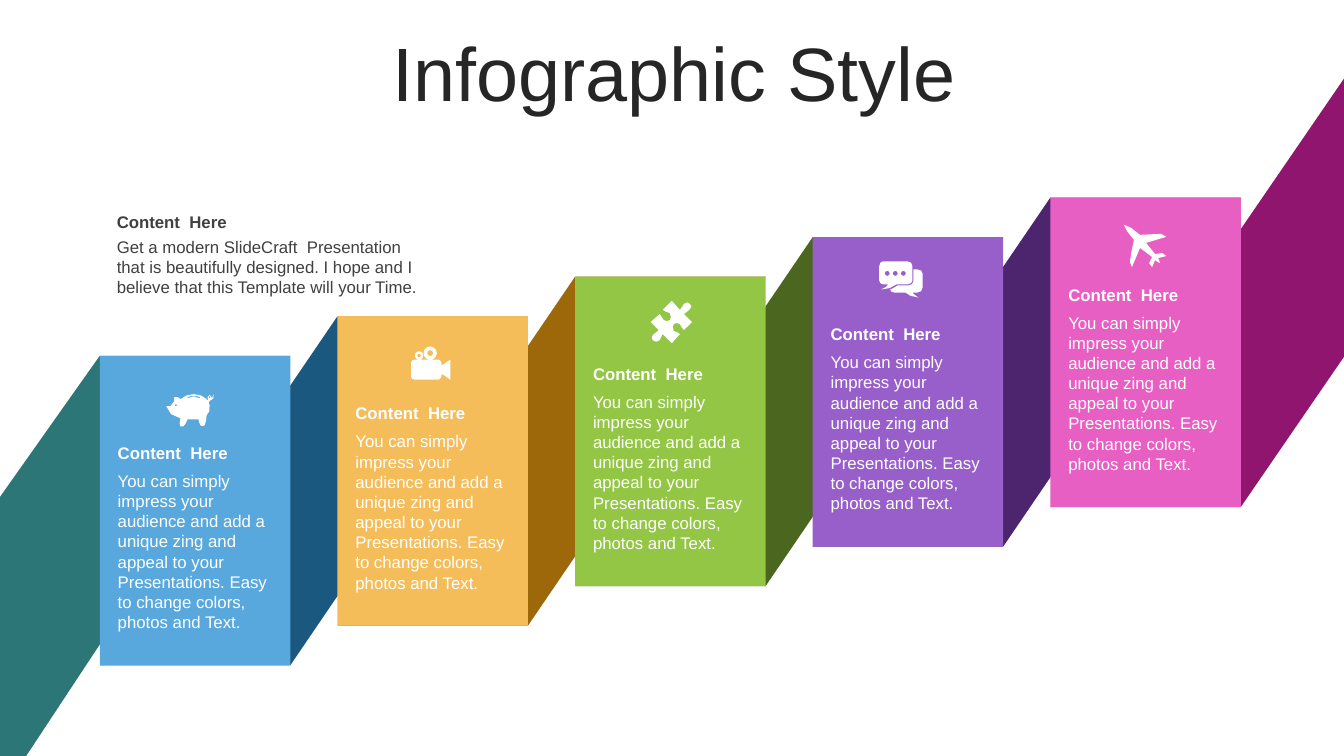
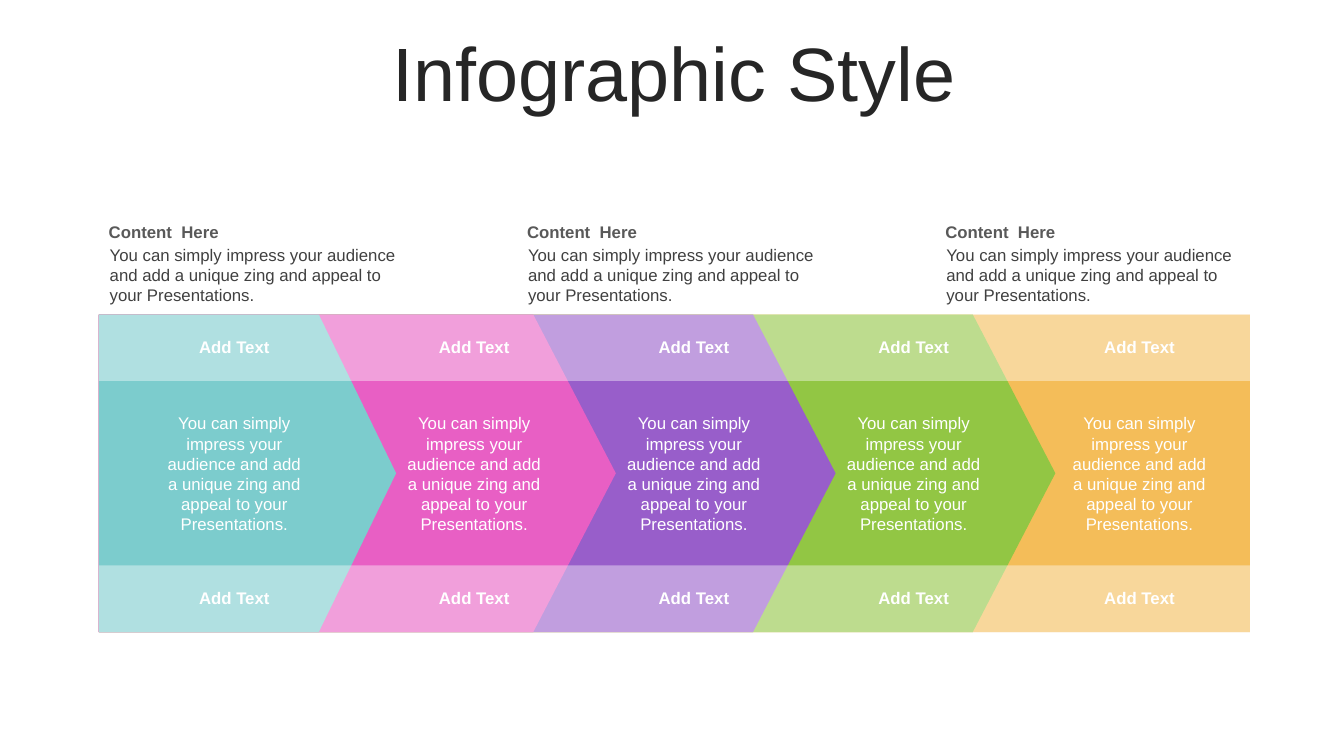
import math
from dataclasses import dataclass

import pptx
import pptx.dml.color
import pptx.enum.shapes
import pptx.enum.text
import pptx.oxml.ns
import pptx.util
from lxml import etree

RGB = pptx.dml.color.RGBColor
SHAPE = pptx.enum.shapes.MSO_SHAPE
ALIGN = pptx.enum.text.PP_ALIGN
ANCHOR = pptx.enum.text.MSO_ANCHOR
Inches = pptx.util.Inches

# Shared look
SLIDE_W, SLIDE_H = 40 / 3, 7.5
FONT = "Arial"
BODY_PT, TITLE_PT = 12, 54
WHITE = RGB(0xFF, 0xFF, 0xFF)
TITLE_INK = RGB(0x26, 0x26, 0x26)
INK = RGB(0x40, 0x40, 0x40)
HEADING_INK = RGB(0x59, 0x59, 0x59)
BLUE, DARK_BLUE = RGB(0x58, 0xA8, 0xDD), RGB(0x1A, 0x58, 0x80)
ORANGE, DARK_ORANGE = RGB(0xF4, 0xBD, 0x59), RGB(0x9C, 0x68, 0x0A)
GREEN, DARK_GREEN = RGB(0x92, 0xC6, 0x44), RGB(0x4A, 0x66, 0x1F)
PURPLE, DARK_PURPLE = RGB(0x98, 0x5E, 0xCA), RGB(0x4D, 0x25, 0x6F)
PINK, DARK_PINK = RGB(0xE8, 0x5F, 0xC4), RGB(0x8F, 0x15, 0x6F)
TEAL, DARK_TEAL = RGB(0x7C, 0xCC, 0xCD), RGB(0x2D, 0x76, 0x77)

HEADING = "Content  Here"
PITCH = "You can simply impress your audience and add a unique zing and appeal to your Presentations."

# Staircase of cards: four equal steps from the first card to the last
CARD_LEFT, CARD_TOP = 0.99, 3.53
CARD_W, CARD_H = 1.89, 3.07
STEP_X, STEP_Y = (10.42 - CARD_LEFT) / 4, (CARD_TOP - 1.96) / 4

# Arrow band
BAND_LEFT, BAND_TOP, BAND_W, BAND_H = 0.98, 3.12, 11.42, 3.15
STRIP_H = 0.66
ARROW_W, ARROW_STEP = 2.95, 2.18
NOTE_STEP = 4.15

# A contour is a start point, then line ends (2 numbers) or cubic curves (6 numbers)
Contour = list[tuple[float, ...]]


def circle(cx: float, cy: float, radius: float) -> Contour:
    sides = 12 if radius > 3 else 8
    turns = [math.tau * i / sides for i in range(sides)]
    return [(cx + radius * math.cos(a), cy + radius * math.sin(a)) for a in turns]


# Icon outlines, in hundredths of an inch
PIG: list[Contour] = [
    [(27, 0), (32, 0, 38, 2, 40, 5), (41, 6), (42, 6), (41, 5, 41, 4, 41, 3),
     (41, 2, 42, 1, 43, 1), (44, 0, 45, 2, 45, 3), (45, 4), (45, 4, 46, 4, 47, 0),
     (48, 4, 46, 6, 44, 6), (43, 7, 43, 7, 42, 8), (43, 11), (44, 15, 42, 20, 40, 21),
     (40, 26, 39, 28, 38, 31), (38, 32, 34, 32, 34, 31), (33, 29, 32, 27, 32, 25),
     (29, 25, 24, 25, 21, 25), (20, 28, 19, 30, 17, 32), (14, 32),
     (13, 32, 13, 27, 14, 24), (9, 22, -1, 19, 0, 12), (4, 12), (6, 10, 6, 9, 8, 7),
     (8, 5, 7, 3, 8, 3), (11, 1, 12, 4, 14, 5), (17, 2, 23, 0, 27, 0)],
    [(27, 2), (25, 2, 23, 2, 21, 3), (21, 4), (25, 2, 29, 2, 33, 4), (34, 3),
     (32, 2, 29, 2, 27, 2)],
    circle(9.5, 11, 1), circle(43, 3, 1),
]
CAMERA: list[Contour] = [
    [(4, 13), (27, 13), (28, 13, 30, 14, 30, 16), (30, 18), (32, 18), (39, 13), (39, 33),
     (32, 28), (30, 28), (30, 30), (30, 32, 28, 33, 27, 33), (4, 33),
     (2, 33, 0, 32, 0, 30), (0, 16), (0, 14, 2, 13, 4, 13)],
    circle(8, 9, 4.2), circle(8, 9, 1.8), circle(19, 6.6, 6.6), circle(19, 6.6, 3),
]
PUZZLE: list[Contour] = [
    [(39, 3), (41, 4, 41, 7, 39, 8), (38, 11, 35, 10, 33, 13), (41, 21), (33, 29),
     (30, 27, 31, 25, 29, 23), (27, 21, 24, 22, 23, 23), (22, 24, 21, 27, 23, 30),
     (26, 32, 27, 30, 29, 33), (21, 42), (12, 33), (9, 36, 11, 37, 9, 39),
     (7, 41, 4, 41, 2, 39), (1, 38, 1, 35, 2, 34), (4, 31, 6, 32, 8, 29), (0, 21), (9, 13),
     (12, 15, 10, 17, 13, 19), (15, 21, 17, 20, 19, 19), (20, 17, 21, 15, 19, 12),
     (16, 10, 15, 12, 12, 9), (21, 0), (29, 9), (32, 6, 31, 5, 33, 3),
     (35, 1, 38, 1, 39, 3)],
]
CHAT: list[Contour] = [
    [(4, 0), (28, 0), (31, 0, 33, 2, 33, 5), (33, 19), (33, 21, 31, 23, 28, 23), (17, 23),
     (12, 27, 10, 27, 2, 28), (7, 25, 7, 26, 9, 23), (4, 23), (2, 23, 0, 21, 0, 19),
     (0, 5), (0, 2, 2, 0, 4, 0)],
    [(34, 8), (38, 8), (41, 8, 43, 10, 43, 12), (43, 26), (43, 29, 41, 31, 38, 31),
     (33, 31), (34, 32, 34, 33, 39, 36), (31, 35, 30, 34, 26, 31), (15, 31),
     (13, 31, 11, 30, 11, 28), (13, 27, 16, 26, 18, 24), (29, 24),
     (32, 24, 34, 22, 34, 20)],
    *[circle(x, 12, 2.5) for x in (8, 16, 24)],
]
PLANE: list[Contour] = [
    [(42, 31), (34, 33), (34, 34, 36, 37, 36, 38), (35, 39, 33, 36, 31, 35), (28, 42),
     (25, 38), (28, 32), (16, 23), (8, 42), (6, 37), (7, 29, 8, 23, 10, 15),
     (6, 11, -1, 1, 0, 0), (2, -1, 12, 6, 16, 10), (37, 9), (42, 12), (22, 18), (31, 29),
     (33, 29, 38, 28, 38, 28)],
]


@dataclass(frozen=True)
class Card:
    fill: RGB
    ribbon: RGB | None  # fold leading to the next card
    icon: list[Contour]
    icon_x: float
    icon_y: float


@dataclass(frozen=True)
class Arrow:
    fill: RGB
    text_x: float


CARDS = [
    Card(BLUE, DARK_BLUE, PIG, 0.66, 0.38),
    Card(ORANGE, DARK_ORANGE, CAMERA, 0.73, 0.3),
    Card(GREEN, DARK_GREEN, PUZZLE, 0.75, 0.24),
    Card(PURPLE, DARK_PURPLE, CHAT, 0.66, 0.24),
    Card(PINK, None, PLANE, 0.73, 0.27),
]
ARROWS = [Arrow(TEAL, 1.54), Arrow(PINK, 3.92), Arrow(PURPLE, 6.1),
          Arrow(GREEN, 8.28), Arrow(ORANGE, 10.52)]


def paint(sp, fill: RGB) -> None:
    sp.shadow.inherit = False
    sp.fill.solid()
    sp.fill.fore_color.rgb = fill
    sp.line.fill.background()


def add_block(s, kind, x: float, y: float, w: float, h: float, fill: RGB,
              adj: float | None = None):
    sp = s.shapes.add_shape(kind, Inches(x), Inches(y), Inches(w), Inches(h))
    paint(sp, fill)
    if adj is not None:
        sp.adjustments[0] = adj
    return sp


def flatten(contour: Contour) -> list[tuple[float, float]]:
    """Turn each curve into straight pieces: one if tiny, else two."""
    points = [contour[0]]
    for seg in contour[1:]:
        if len(seg) == 6:
            x0, y0 = points[-1]
            x1, y1, x2, y2, x3, y3 = seg
            if math.dist((x0, y0), (x3, y3)) > 3:
                points.append(((x0 + 3 * x1 + 3 * x2 + x3) / 8,
                               (y0 + 3 * y1 + 3 * y2 + y3) / 8))
        points.append(seg[-2:])
    return points


def add_outline(s, contours: list[Contour], fill: RGB, x: float = 0, y: float = 0,
                unit: float = 1) -> None:
    fb = None
    for contour in contours:
        pts = [(Inches(x + px * unit), Inches(y + py * unit)) for px, py in flatten(contour)]
        if fb is None:
            fb = s.shapes.build_freeform(*pts[0])
        else:
            fb.move_to(*pts[0])
        fb.add_line_segments(pts[1:], close=True)
    paint(fb.convert_to_shape(), fill)


def add_text(s, text: str, x: float, y: float, w: float, h: float, color: RGB,
             bold: bool = False, align=ALIGN.LEFT, anchor=ANCHOR.TOP, size: int = BODY_PT):
    tf = s.shapes.add_textbox(Inches(x), Inches(y), Inches(w), Inches(h)).text_frame
    tf.word_wrap = True
    tf.vertical_anchor = anchor
    p = tf.paragraphs[0]
    p.alignment = align
    r = p.add_run()
    r.text = text
    r.font.name, r.font.size = FONT, pptx.util.Pt(size)
    r.font.bold, r.font.color.rgb = bold, color
    return p


def add_note(s, text: str, x: float, y: float, w: float, h: float, gap: float,
             heading_color: RGB, color: RGB, indent: float = 0) -> None:
    add_text(s, HEADING, x, y, w, 0.3, heading_color, bold=True, anchor=ANCHOR.MIDDLE)
    add_text(s, text, x + indent, y + gap, w - indent, h, color)


def add_titled_slide(prs, title: str):
    s = prs.slides.add_slide(prs.slide_layouts[6])
    p = add_text(s, title, 0.36, 0.37, 12.66, 0.79, TITLE_INK,
                 align=ALIGN.CENTER, anchor=ANCHOR.MIDDLE, size=TITLE_PT)
    p.line_spacing = 0.9
    return s


def build_staircase(prs) -> None:
    s = add_titled_slide(prs, "Infographic Style")
    corners = [(CARD_LEFT + i * STEP_X, CARD_TOP - i * STEP_Y) for i in range(len(CARDS))]

    # Ribbons running off both edges, then the folds between cards
    last_x, last_y = corners[-1]
    bottom = last_y + CARD_H
    add_outline(s, [[(0, SLIDE_H), (0, 4.93), (CARD_LEFT, CARD_TOP),
                     (CARD_LEFT + CARD_W, CARD_TOP), (0.26, SLIDE_H)]], DARK_TEAL)
    add_outline(s, [[(last_x, bottom), (SLIDE_W, 0.78), (SLIDE_W, 3.54),
                     (last_x + CARD_W, bottom)]], DARK_PINK)
    fold_h = CARD_H + STEP_Y
    for card, (x, y) in zip(CARDS, corners):
        if card.ribbon is not None:
            add_block(s, SHAPE.PARALLELOGRAM, x, y - STEP_Y, STEP_X + CARD_W, fold_h,
                      card.ribbon, STEP_X / fold_h)

    # Cards with icon and text
    for card, (x, y) in zip(CARDS, corners):
        add_block(s, SHAPE.RECTANGLE, x, y, CARD_W, CARD_H, card.fill)
        add_outline(s, card.icon, WHITE, x + card.icon_x, y + card.icon_y, 0.01)
        add_note(s, PITCH + " Easy to change colors, photos and Text.",
                 x + 0.08, y + 0.81, 1.76, 1.72, 0.28, WHITE, WHITE)

    add_note(s, "Get a modern SlideCraft  Presentation that is beautifully designed. "
             "I hope and I believe that this Template will your Time.",
             1.06, 2.05, 3.31, 0.71, 0.25, INK, INK)


def build_arrow_band(prs) -> None:
    s = add_titled_slide(prs, "Infographic Style")

    # Overlapping arrows, longest at the back
    for i, arrow in reversed(list(enumerate(ARROWS))):
        is_last = i == len(ARROWS) - 1
        width = BAND_W if is_last else ARROW_W + i * ARROW_STEP
        add_block(s, SHAPE.PENTAGON, BAND_LEFT, BAND_TOP, width, BAND_H, arrow.fill,
                  0 if is_last else 0.26)

    # Translucent strips along both edges
    strip_tops = (BAND_TOP, BAND_TOP + BAND_H - STRIP_H)
    for y in strip_tops:
        sp = add_block(s, SHAPE.RECTANGLE, BAND_LEFT, y, BAND_W, STRIP_H, WHITE)
        clr = next(sp.element.iter(pptx.oxml.ns.qn("a:srgbClr")))
        etree.SubElement(clr, pptx.oxml.ns.qn("a:alpha"), val="40000")

    for arrow in ARROWS:
        for y in strip_tops:
            add_text(s, "Add Text", arrow.text_x, y + 0.17, 1.57, 0.3, WHITE,
                     bold=True, align=ALIGN.CENTER)
        add_text(s, PITCH, arrow.text_x, 4.05, 1.57, 1.31, WHITE, align=ALIGN.CENTER)

    # Notes above the band
    for i in range(3):
        add_note(s, PITCH, BAND_LEFT + i * NOTE_STEP, 2.15, 3.12, 0.71, 0.23,
                 HEADING_INK, INK, indent=0.01)


def main() -> None:
    prs = pptx.Presentation()
    prs.slide_width, prs.slide_height = Inches(SLIDE_W), Inches(SLIDE_H)
    build_staircase(prs)
    build_arrow_band(prs)
    prs.save("out.pptx")


if __name__ == "__main__":
    main()
